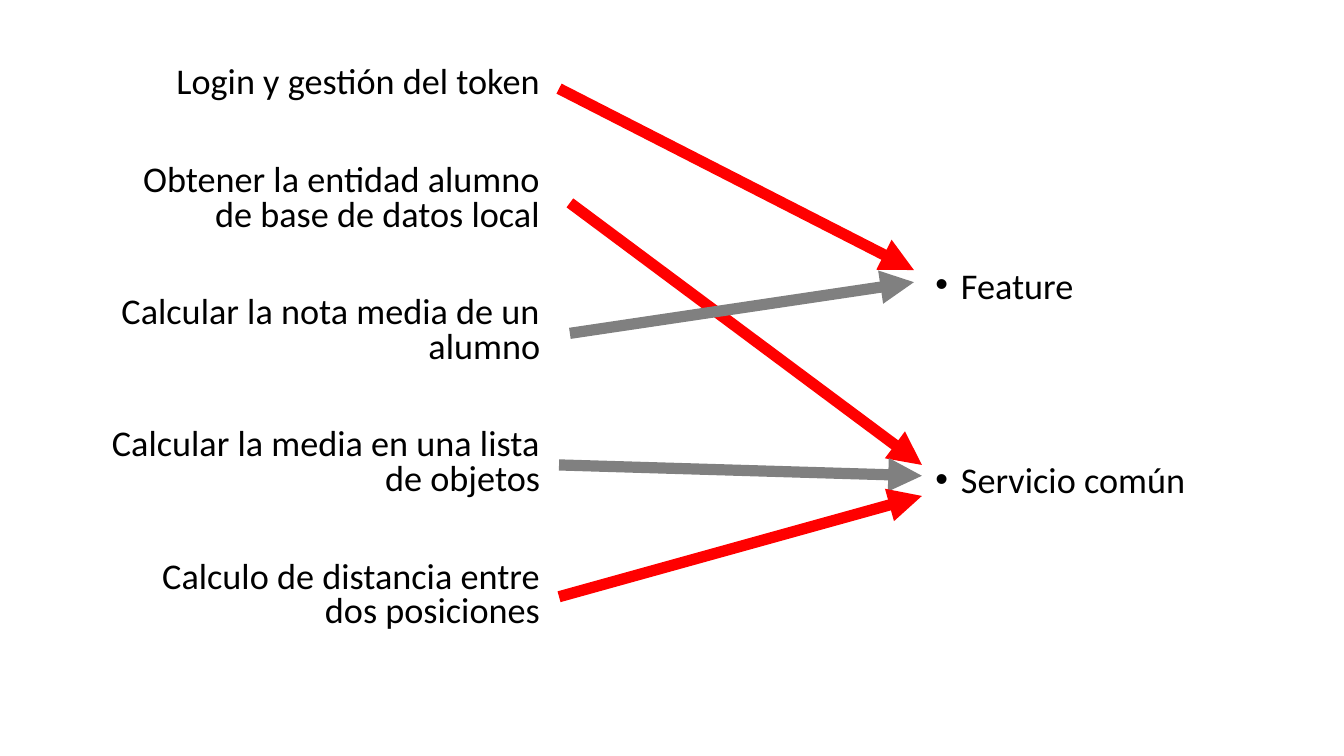
from lxml.etree import SubElement
from pptx import Presentation
from pptx.dml.color import RGBColor
from pptx.enum.shapes import MSO_CONNECTOR
from pptx.enum.text import MSO_ANCHOR, MSO_AUTO_SIZE, PP_ALIGN
from pptx.oxml.ns import qn
from pptx.util import Pt

HUES = {"text": "000000", "red": "FF0000", "gray": "808080", "back": "FFFFFF"}
TOP, TALL = 32.4, 331.9
LEAD = 7.5
INDENT = 13.7

TASKS = [
    "Login y gestión del token",
    "Obtener la entidad alumno de base de datos local",
    "Calcular la nota media de un alumno",
    "Calcular la media en una lista de objetos",
    "Calculo de distancia entre dos posiciones",
]
KINDS = ["Feature", "Servicio común"]
ARROWS = [
    ("red", (299.5, 47.5), (489.6, 144.7)),
    ("red", (305.3, 108.7), (493.9, 249.1)),
    ("gray", (305.3, 178.6), (489.6, 151.2)),
    ("gray", (299.5, 249.1), (493.9, 254.9)),
    ("red", (299.5, 319.7), (493.9, 265.7)),
]


def assign(item, values):
    """Set each named value on an object."""
    for name, value in values.items():
        setattr(item, name, value)


def color(name):
    """Return a named colour."""
    return RGBColor.from_string(HUES[name])


def mark(para, bullet):
    """Give a paragraph a hanging bullet, or none."""
    props = para._p.get_or_add_pPr()
    dent = INDENT if bullet else 0
    props.set("marL", str(Pt(dent)))
    props.set("indent", str(Pt(-dent)))
    if bullet:
        SubElement(props, qn("a:buFont")).set("typeface", "Arial")
        SubElement(props, qn("a:buChar")).set("char", "•")
    else:
        SubElement(props, qn("a:buNone"))


def column(holder, left, width, lines, gap, drop=0, bullet=False):
    """Fill a placeholder with evenly spaced lines."""
    assign(holder, {"left": Pt(left), "top": Pt(TOP),
                    "width": Pt(width), "height": Pt(TALL)})
    frame = holder.text_frame
    assign(frame, {"word_wrap": True, "auto_size": MSO_AUTO_SIZE.NONE,
                   "vertical_anchor": MSO_ANCHOR.TOP,
                   "margin_left": Pt(7.2), "margin_right": Pt(7.2),
                   "margin_top": Pt(3.6 + drop), "margin_bottom": Pt(3.6)})
    frame.text = "\n".join(lines)
    for row, para in enumerate(frame.paragraphs):
        assign(para, {"alignment": PP_ALIGN.LEFT if bullet else PP_ALIGN.RIGHT,
                      "line_spacing": 0.8,
                      "space_before": Pt(gap if row else LEAD)})
        mark(para, bullet)
        font = para.runs[0].font
        assign(font, {"name": "Calibri", "size": Pt(19.4)})
        font.color.rgb = color("text")


def arrow(slide, hue, start, end):
    """Draw a thick arrow between two points."""
    ends = [Pt(value) for value in start + end]
    link = slide.shapes.add_connector(MSO_CONNECTOR.STRAIGHT, *ends)
    link.line.width = Pt(6)
    link.line.color.rgb = color(hue)
    SubElement(link.line._get_or_add_ln(), qn("a:tailEnd")).set("type", "triangle")
    SubElement(link._element.spPr, qn("a:effectLst"))


def main():
    """Build the slide and save it."""
    deck = Presentation()
    assign(deck, {"slide_width": Pt(720), "slide_height": Pt(405)})
    slide = deck.slides.add_slide(deck.slide_layouts.get_by_name("Two Content"))
    fill = slide.background.fill
    fill.solid()
    fill.fore_color.rgb = color("back")
    title = slide.shapes.title._element
    title.getparent().remove(title)
    left, right = slide.placeholders
    column(left, 49.7, 247, TASKS, gap=33.6)
    column(right, 493.9, 176.4, KINDS, gap=85.7, drop=109.3, bullet=True)
    for item in ARROWS:
        arrow(slide, *item)
    deck.save("out.pptx")


main()
